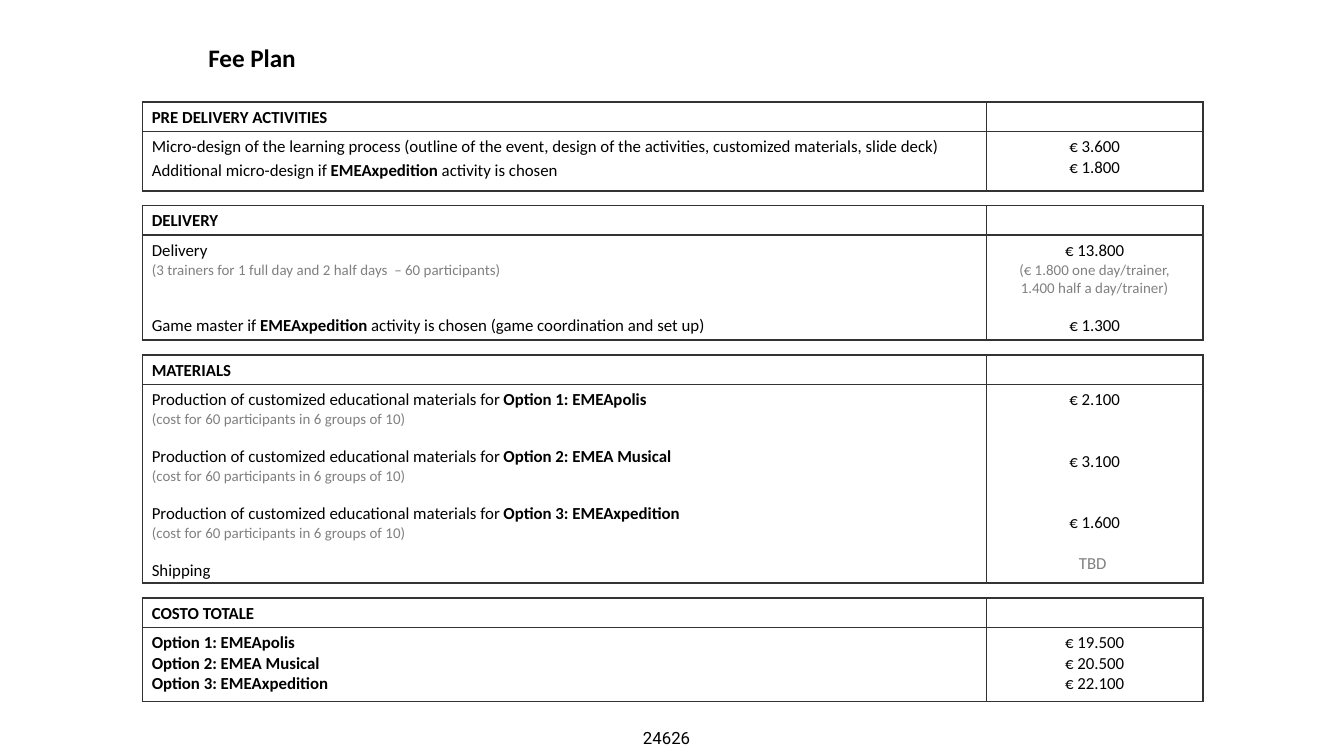
from lxml import etree
from pptx import Presentation
from pptx.dml.color import RGBColor
from pptx.enum import text
from pptx.oxml.ns import qn
from pptx.util import Inches, Pt

THEME = {
    "ink": "000000", "muted": "808080", "rule": "333333",
    "font": "Calibri", "number_font": "Roboto",
    "title": 13.5, "body": 9, "note": 8,
}
LEFT, CENTER = text.PP_ALIGN.LEFT, text.PP_ALIGN.CENTER


def write(tf, words, size="body", color="ink", font="font", align=LEFT, before=0, first=False):
    """Add one paragraph; words between asterisks are bold."""
    p = tf.paragraphs[0] if first else tf.add_paragraph()
    p.alignment = align
    p.space_before = Pt(before)
    for i, part in enumerate(words.split("*")):
        if part:
            r = p.add_run()
            r.text = part
            r.font.name = THEME[font]
            r.font.size = Pt(THEME[size])
            r.font.bold = i % 2 == 1
            r.font.color.rgb = RGBColor.from_string(THEME[color])


def format_cell(cell):
    """Give a cell thin rules, no fill and tight margins."""
    cell.margin_left = cell.margin_right = Inches(0.07)
    cell.margin_top, cell.margin_bottom = Inches(0.04), 0
    tcPr = cell._tc.get_or_add_tcPr()
    for side in ("lnL", "lnR", "lnT", "lnB"):
        ln = etree.SubElement(tcPr, qn(f"a:{side}"), w=str(Pt(1)))
        fill = etree.SubElement(ln, qn("a:solidFill"))
        etree.SubElement(fill, qn("a:srgbClr"), val=THEME["rule"])
    cell.fill.background()


# Fee sections: heading, top, body height, activities, prices
note = {"size": "note", "color": "muted"}
group_note = "(cost for 60 participants in 6 groups of 10)"
options = ["Option 1: EMEApolis", "Option 2: EMEA Musical", "Option 3: EMEAxpedition"]
materials = []
for i, option in enumerate(options):
    materials.append((f"Production of customized educational materials for *{option}*",
                      {"before": 9.8 if i else 0}))
    materials.append((group_note, note))
materials.append(("Shipping", {"before": 9.8}))

sections = [
    ("PRE DELIVERY ACTIVITIES", 0.76, 0.44,
     [("Micro-design of the learning process (outline of the event, design of the "
       "activities, customized materials, slide deck)", {}),
      ("Additional micro-design if *EMEAxpedition *activity is chosen", {"before": 1.8})],
     [("€ 3.600", {}), ("€ 1.800", {})]),
    ("DELIVERY", 1.53, 0.78,
     [("Delivery", {}),
      ("(3 trainers for 1 full day and 2 half days  – 60 participants)", note),
      ("Game master if *EMEAxpedition *activity is chosen (game coordination and set up)",
       {"before": 19.5})],
     [("€ 13.800", {}), ("(€ 1.800 one day/trainer,", note),
      ("1.400 half a day/trainer)", note), ("€ 1.300", {"before": 9.8})]),
    ("MATERIALS", 2.64, 1.48, materials,
     [("€ 2.100", {}), ("€ 3.100", {"before": 22}), ("€ 1.600", {"before": 22}),
      ("TBD ", {"color": "muted", "before": 11})]),
    ("COSTO TOTALE", 4.45, 0.55,
     [(f"*{option}*", {}) for option in options],
     [("€ 19.500", {}), ("€ 20.500", {}), ("€ 22.100", {})]),
]

# Slide (16:9) and grid
prs = Presentation()
prs.slide_width = Inches(10)
prs.slide_height = prs.slide_width * 9 // 16
s = prs.slides.add_slide(prs.slide_layouts[5])
table_left, columns, header_height = 1.06, (6.28, 1.61), 0.22

# Title
sp = s.shapes.title
sp.left, sp.top, sp.width, sp.height = [Inches(v) for v in (1.45, 0.26, 3.25, 0.33)]
tf = sp.text_frame
tf.auto_size = text.MSO_AUTO_SIZE.NONE
tf.vertical_anchor = text.MSO_ANCHOR.MIDDLE
write(tf, "*Fee Plan*", size="title", first=True)

# Fee tables
for heading, top, body_height, activities, prices in sections:
    frame = s.shapes.add_table(2, 2, Inches(table_left), Inches(top),
                               Inches(sum(columns)), Inches(header_height + body_height))
    table = frame.table
    table.first_row = table.horz_banding = False
    for column, width in zip(table.columns, columns):
        column.width = Inches(width)
    for row, height in zip(table.rows, (header_height, body_height)):
        row.height = Inches(height)
    for cell in table.iter_cells():
        format_cell(cell)

    write(table.cell(0, 0).text_frame, f"*{heading}*", first=True)
    blank = table.cell(0, 1).text_frame.paragraphs[0]
    blank._p.get_or_add_endParaRPr().set("sz", str(THEME["body"] * 100))
    for col, (lines, align) in enumerate(((activities, LEFT), (prices, CENTER))):
        tf = table.cell(1, col).text_frame
        for i, (words, style) in enumerate(lines):
            write(tf, words, align=align, first=i == 0, **style)

# Page number
sp = s.shapes.add_textbox(Inches(2.46), Inches(5.36), Inches(5), Inches(0.26))
tf = sp.text_frame
tf.word_wrap = True
tf.vertical_anchor = text.MSO_ANCHOR.MIDDLE
write(tf, "24626", font="number_font", align=CENTER, first=True)

prs.save("out.pptx")
